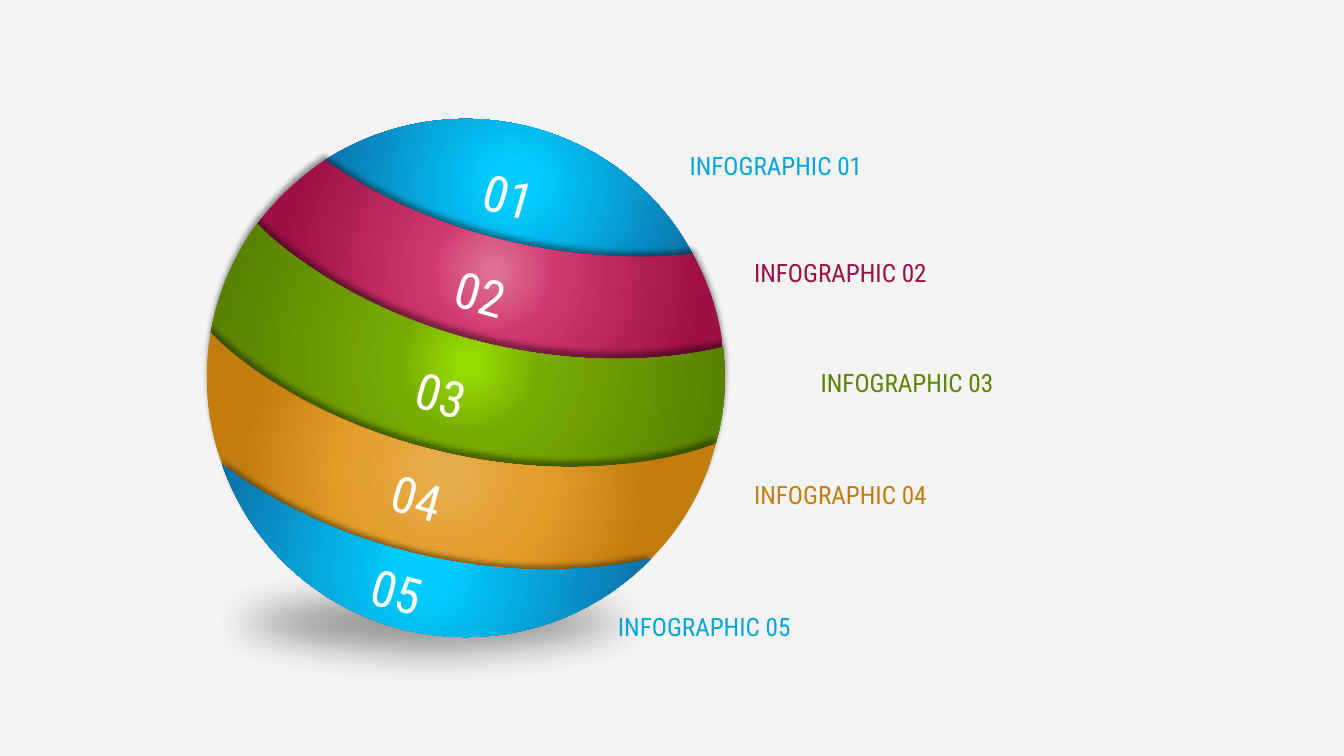
import math
from dataclasses import dataclass

import pptx
import pptx.dml.color
import pptx.enum.shapes
import pptx.enum.text
import pptx.oxml
import pptx.oxml.ns
import pptx.util

Inches = pptx.util.Inches
Pt = pptx.util.Pt


@dataclass(frozen=True)
class Theme:
    back: str = "F4F4F4"
    light: str = "FFFFFF"
    dark: str = "000000"
    face: str = "Roboto Condensed"
    big: int = 36
    small: int = 18
    blue: tuple = ((10, "00CCFF"), (98, "0E679F"))
    pink: tuple = ((2, "DE7097"), (23, "D1386F"), (76, "9E0F45"))
    green: tuple = ((4, "96D901"), (23, "77AB01"), (96, "537802"))
    gold: tuple = ((3, "E7AC4B"), (35, "E29B27"), (67, "C27D0E"))
    words: tuple = ("05A5DA", "9E0F45", "5C8402", "C27D0E", "05A5DA")


THEME = Theme()
MID = (4.62, 3.75)
RADIUS = 2.57
TILT = 12.3
TURN = 15.9

SEAMS = [
    [(3.22, 1.59), (3.43, 1.73), (3.91, 2.04), (4.5, 2.28), (5.14, 2.42),
     (5.66, 2.53), (6.17, 2.57), (6.64, 2.54), (6.87, 2.52)],
    [(2.55, 2.22), (2.67, 2.34), (3.24, 2.83), (4.02, 3.23), (4.92, 3.43),
     (5.7, 3.6), (6.45, 3.6), (7.11, 3.46), (7.17, 3.44)],
    [(2.09, 3.3), (2.2, 3.41), (2.77, 3.91), (3.55, 4.3), (4.45, 4.5),
     (5.36, 4.7), (6.23, 4.67), (6.96, 4.45), (7.1, 4.4)],
    [(2.2, 4.6), (2.23, 4.63), (2.77, 5.03), (3.46, 5.35), (4.23, 5.52),
     (5.01, 5.69), (5.76, 5.69), (6.42, 5.55), (6.46, 5.54)],
]

BANDS = [
    (THEME.blue, 0, (4.61, 1.59), (6.74, 1.44)),
    (THEME.pink, 4, (4.33, 2.56), (7.38, 2.5)),
    (THEME.green, 5, (3.94, 3.56), (8.04, 3.59)),
    (THEME.gold, 5, (3.7, 4.58), (7.38, 4.71)),
    (THEME.blue, 3, (3.5, 5.51), (6.03, 6.02)),
]


def color(code):
    return pptx.dml.color.RGBColor.from_string(code)


def node(text):
    return pptx.oxml.parse_xml(
        text.replace(" ", f" {pptx.oxml.ns.nsdecls('a')} ", 1))


def spin(point, angle):
    turn = math.radians(angle)
    x, y = point[0] - MID[0], point[1] - MID[1]
    return (MID[0] + x * math.cos(turn) - y * math.sin(turn),
            MID[1] + x * math.sin(turn) + y * math.cos(turn))


def trace(seam):
    return [seam[1:2], seam[2:5], seam[5:8], seam[8:]]


def arc(start, end):
    first, last = (math.atan2(y - MID[1], x - MID[0]) for x, y in (start, end))
    sweep = (last - first) % math.tau
    count = math.ceil(sweep / (math.pi / 2))
    step = sweep / count
    pull = 4 / 3 * math.tan(step / 4)

    def place(angle, lean):
        x, y = math.cos(angle), math.sin(angle)
        return (MID[0] + RADIUS * (x - lean * y),
                MID[1] + RADIUS * (y + lean * x))

    parts = []
    for i in range(count):
        angle = first + i * step
        parts.append([place(angle, pull), place(angle + step, -pull),
                      place(angle + step, 0)])
    parts[-1][-1] = end
    return parts


def outline(index):
    upper = SEAMS[index - 1] if index else None
    lower = SEAMS[index][::-1] if index < len(SEAMS) else None
    if not upper:
        return lower[0], trace(lower) + arc(lower[-1], lower[0])
    if not lower:
        return upper[0], trace(upper) + arc(upper[-1], upper[0])
    return upper[0], (trace(upper) + arc(upper[-1], lower[0])
                      + trace(lower) + arc(lower[-1], upper[0]))


def extent(start, parts):
    points = [start]
    for part in parts:
        if len(part) == 3:
            a, (b, c, d) = points[-1], part
            for i in range(1, 20):
                t = i / 20
                mix = ((1 - t) ** 3, 3 * t * (1 - t) ** 2,
                       3 * t * t * (1 - t), t ** 3)
                points.append(tuple(
                    sum(w * p[axis] for w, p in zip(mix, (a, b, c, d)))
                    for axis in (0, 1)))
        points.append(part[-1])
    xs, ys = zip(*points)
    return min(xs), min(ys), max(xs), max(ys)


def effect(shape, text):
    shape._element.spPr.find(pptx.oxml.ns.qn("a:effectLst")).append(node(text))


def shade(shape, stops, drop):
    marks = "".join(f'<a:gs pos="{pos * 1000}"><a:srgbClr val="{code}"/></a:gs>'
                    for pos, code in stops)
    shape._element.spPr.insert(2, node(
        f'<a:gradFill rotWithShape="1"><a:gsLst>{marks}</a:gsLst>'
        '<a:path path="circle"><a:fillToRect l="50000" t="50000" r="50000" '
        'b="50000"/></a:path></a:gradFill>'))
    shape.line.fill.background()
    shape.shadow.inherit = False
    if drop:
        effect(shape, f'<a:outerShdw blurRad="{Pt(4)}" dist="{Pt(drop)}" '
               f'dir="16200000" algn="b" rotWithShape="0">'
               f'<a:srgbClr val="{THEME.dark}"><a:alpha val="40000"/>'
               '</a:srgbClr></a:outerShdw>')


def band(group, index, stops, drop):
    start, parts = outline(index)
    start = spin(start, -TILT)
    parts = [[spin(point, -TILT) for point in part] for part in parts]
    x0, y0, x1, y1 = extent(start, parts)
    pen = group.shapes.build_freeform(Inches(x0), Inches(y0))
    pen.add_line_segments([(Inches(x), Inches(y)) for x, y in
                           ((x1, y0), (x1, y1), (x0, y1))], close=True)
    shape = pen.convert_to_shape()
    route = next(shape._element.iter(pptx.oxml.ns.qn("a:path")))
    for old in list(route):
        route.remove(old)
    for tag, part in [("moveTo", [start])] + [
            ("cubicBezTo" if len(p) == 3 else "lnTo", p) for p in parts]:
        spots = "".join(f'<a:pt x="{Inches(x - x0)}" y="{Inches(y - y0)}"/>'
                        for x, y in part)
        route.append(node(f'<a:{tag} >{spots}</a:{tag}>'))
    route.append(node("<a:close />"))
    x, y = (x0 + x1) / 2, (y0 + y1) / 2
    new_x, new_y = spin((x, y), TILT)
    shape.left += Inches(new_x - x)
    shape.top += Inches(new_y - y)
    shape.rotation = TILT
    shade(shape, stops, drop)


def label(group, text, spot, size, style, align, turn=0):
    box = group.shapes.add_textbox(*(Inches(v) for v in (*spot, *size)))
    box.rotation = turn
    frame = box.text_frame
    frame.word_wrap = True
    frame.auto_size = pptx.enum.text.MSO_AUTO_SIZE.SHAPE_TO_FIT_TEXT
    para = frame.paragraphs[0]
    para.alignment = align
    run = para.add_run()
    run.text = text
    run.font.color.rgb = color(style["color"])
    for name, value in style["font"].items():
        setattr(run.font, name, value)


def ground(slide):
    kind = pptx.enum.shapes.MSO_SHAPE.OVAL
    shape = slide.shapes.add_shape(
        kind, *(Inches(v) for v in (1.48, 5.51, 5.59, 1.32)))
    shape.fill.solid()
    shape.fill.fore_color.rgb = color(THEME.dark)
    fill = shape._element.spPr.find(pptx.oxml.ns.qn("a:solidFill"))
    fill[0].append(node('<a:alpha val="39000"/>'))
    shape.line.fill.background()
    shape.shadow.inherit = False
    effect(shape, f'<a:softEdge rad="{Pt(27)}"/>')


def main():
    deck = pptx.Presentation()
    deck.slide_width, deck.slide_height = Inches(13.33), Inches(7.5)
    slide = deck.slides.add_slide(deck.slide_layouts[6])
    slide.background.fill.solid()
    slide.background.fill.fore_color.rgb = color(THEME.back)
    ground(slide)
    align = pptx.enum.text.PP_ALIGN
    large = {"name": THEME.face, "size": Pt(THEME.big)}
    small = {"name": THEME.face, "size": Pt(THEME.small)}
    for index, (stops, drop, spot, _) in enumerate(BANDS):
        group = slide.shapes.add_group_shape()
        band(group, index, stops, drop)
        label(group, f"{index + 1:02}", spot, (0.87, 0.71),
              {"color": THEME.light, "font": large}, align.CENTER, TURN)
    for index, (band_info, code) in enumerate(zip(BANDS, THEME.words)):
        group = slide.shapes.add_group_shape()
        label(group, f"INFOGRAPHIC {index + 1:02}", band_info[3], (4.12, 0.4),
              {"color": code, "font": small}, align.LEFT)
    deck.save("out.pptx")


if __name__ == "__main__":
    main()
